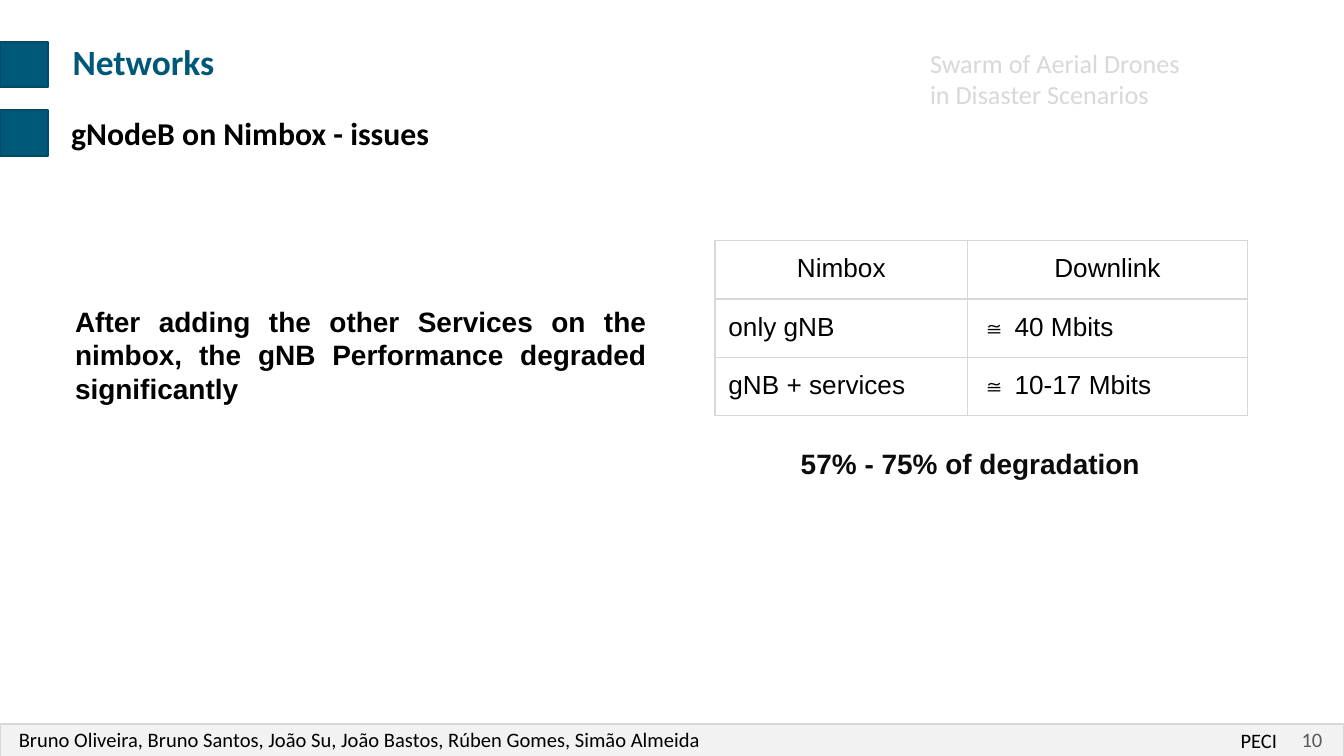
"""Build the slide on network performance issues."""
from lxml.etree import SubElement
from pptx import Presentation
from pptx.dml.color import RGBColor
from pptx.enum.shapes import MSO_SHAPE
from pptx.enum.text import MSO_ANCHOR, PP_ALIGN
from pptx.oxml.ns import qn
from pptx.util import Inches, Pt

BLUE, EDGE, GREY, BLACK = "005878", "004A65", "D8D8D8", "000000"
THIN, WIDE = (0.07, 0.04, 0.07, 0.04), (0.1, 0.1, 0.1, 0.1)
LOW = (0.1, 0.68, 0.1, 0.1)
LEFT, MID, RIGHT, FULL = PP_ALIGN.LEFT, PP_ALIGN.CENTER, PP_ALIGN.RIGHT, PP_ALIGN.JUSTIFY

BARS = [
    ((0, 0.31, 0.36, 0.34), BLUE, EDGE),
    ((0, 0.82, 0.36, 0.34), BLUE, EDGE),
    ((0, 5.39, 10, 0.26), "F2F2F2", GREY),
]
TEXTS = [
    ("Networks", (0.47, 0.26, 3.58, 0.72), THIN, ("Calibri", 19, BLUE, True), LEFT),
    ("gNodeB on Nimbox - issues", (0.46, 0.81, 3.03, 0.36), THIN,
     ("Calibri", 17, BLACK, True), LEFT),
    ("Swarm of Aerial Drones in Disaster Scenarios", (6.85, 0.31, 2.16, 0.78), THIN,
     ("Calibri", 14, GREY, False), LEFT),
    ("After adding the other Services on the nimbox, the gNB Performance degraded "
     "significantly", (0.46, 1.6, 4.45, 2.07), LOW, ("Arial", 15, BLACK, True), FULL),
    ("57% - 75% of degradation", (5.86, 3.22, 2.87, 0.61), WIDE,
     ("Arial", 15, "0C0C0C", True), LEFT),
    ("Bruno Oliveira, Bruno Santos, João Su, João Bastos, Rúben Gomes, Simão Almeida",
     (0.07, 5.37, 5.43, 0.26), THIN, ("Calibri", 11, BLACK, False), LEFT),
    ("PECI", (9.16, 5.38, 0.52, 0.26), THIN, ("Calibri", 11, BLACK, False), LEFT),
]
PAGE = ("10", (9.48, 5.4, 0.43, 0.23), THIN, ("Calibri", 11, "595959", False), RIGHT)
ROWS = [
    ("Nimbox", "Downlink"),
    ("only gNB", "≅ 40 Mbits"),
    ("gNB + services", "≅ 10-17 Mbits"),
]
COLS, HIGH = (1.88, 2.08), 0.43


def color(code):
    return RGBColor.from_string(code)


def inset(item, sides):
    (item.margin_left, item.margin_top,
     item.margin_right, item.margin_bottom) = map(Inches, sides)


def style(para, look, align):
    para.alignment = align
    for run in para.runs:
        font = run.font
        font.name, size, tint, font.bold = look
        font.size, font.color.rgb = Pt(size), color(tint)


def add_bar(slide, place, fill, edge):
    bar = slide.shapes.add_shape(MSO_SHAPE.RECTANGLE, *map(Inches, place))
    bar.shadow.inherit = False
    bar.fill.solid()
    bar.fill.fore_color.rgb = color(fill)
    bar.line.color.rgb = color(edge)
    bar.line.width = Pt(1)


def add_text(slide, text, place, sides, look, align):
    frame = slide.shapes.add_textbox(*map(Inches, place)).text_frame
    frame.word_wrap = True
    inset(frame, sides)
    frame.text = text
    style(frame.paragraphs[0], look, align)
    return frame


def border(cell):
    props = cell._tc.get_or_add_tcPr()
    for side in ("lnL", "lnR", "lnT", "lnB"):
        line = SubElement(props, qn("a:" + side), w=str(Pt(0.75)))
        fill = SubElement(line, qn("a:solidFill"))
        SubElement(fill, qn("a:srgbClr"), val=GREY)


def add_grid(slide):
    place = (5.32, 1.79, sum(COLS), HIGH * len(ROWS))
    grid = slide.shapes.add_table(len(ROWS), len(COLS), *map(Inches, place)).table
    grid.first_row = grid.horz_banding = False
    for col, width in zip(grid.columns, COLS):
        col.width = Inches(width)
    for r, row in enumerate(ROWS):
        grid.rows[r].height = Inches(HIGH)
        for c, text in enumerate(row):
            cell = grid.cell(r, c)
            cell.text_frame.text = text
            inset(cell, WIDE)
            border(cell)
            cell.fill.background()
            style(cell.text_frame.paragraphs[0], ("Arial", 14, BLACK, False),
                  LEFT if r else MID)


def main():
    deck = Presentation()
    deck.slide_width = Inches(10)
    deck.slide_height = deck.slide_width * 9 // 16
    slide = deck.slides.add_slide(deck.slide_layouts[6])
    for bar in BARS:
        add_bar(slide, *bar)
    for text in TEXTS:
        add_text(slide, *text)
    page = add_text(slide, *PAGE)
    page.vertical_anchor = MSO_ANCHOR.MIDDLE
    page.paragraphs[0].line_spacing = 0.8
    add_grid(slide)
    deck.save("out.pptx")


if __name__ == "__main__":
    main()
